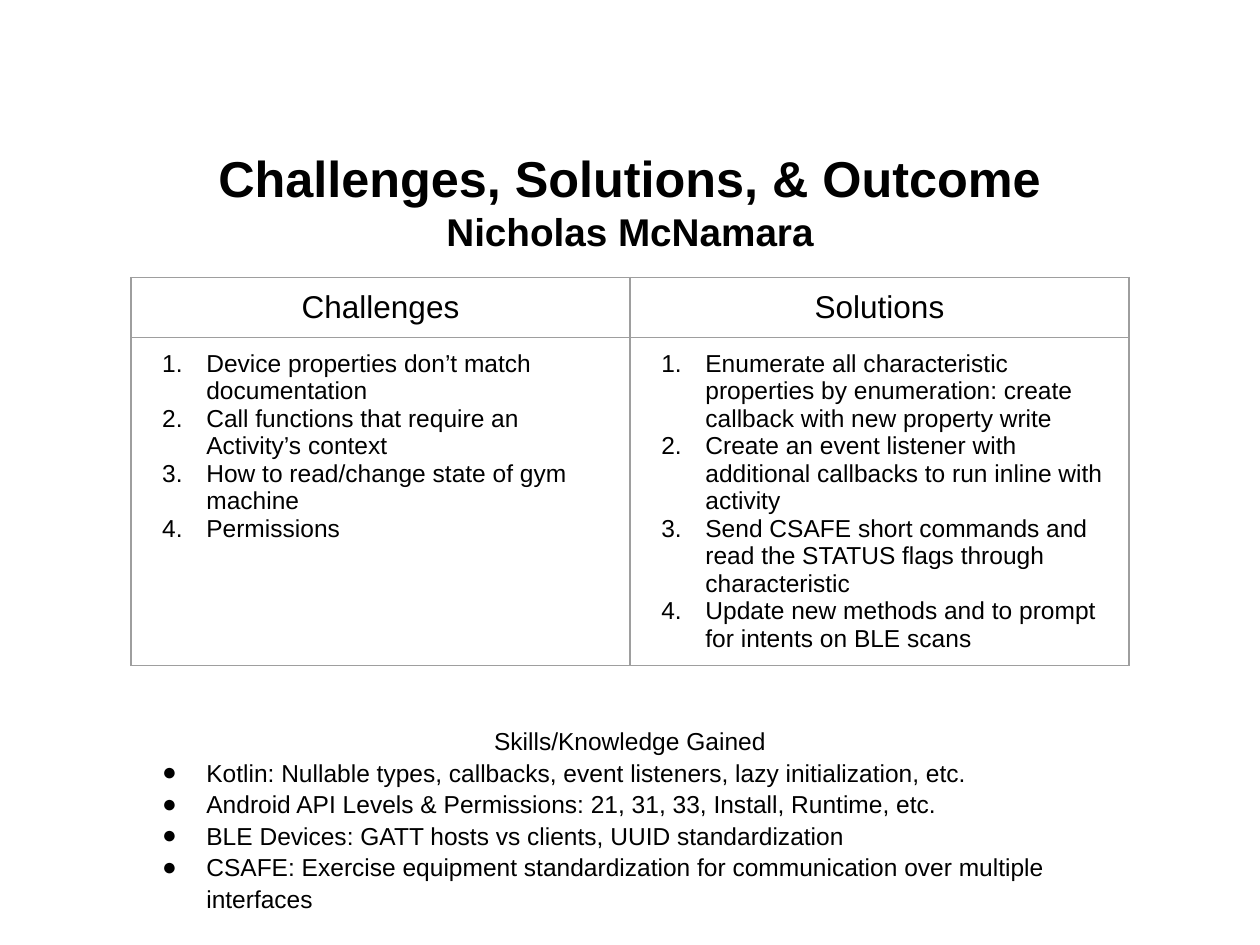
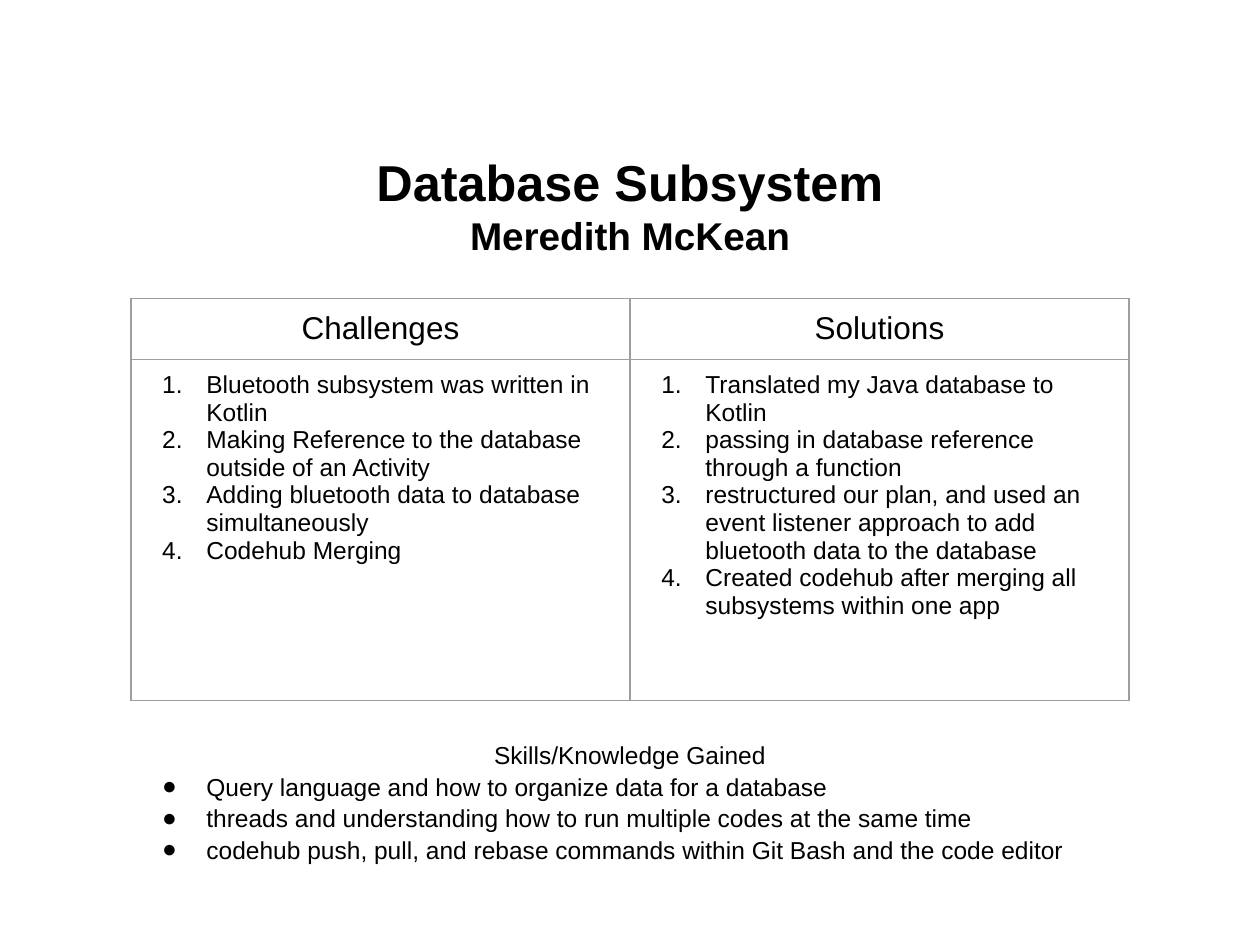
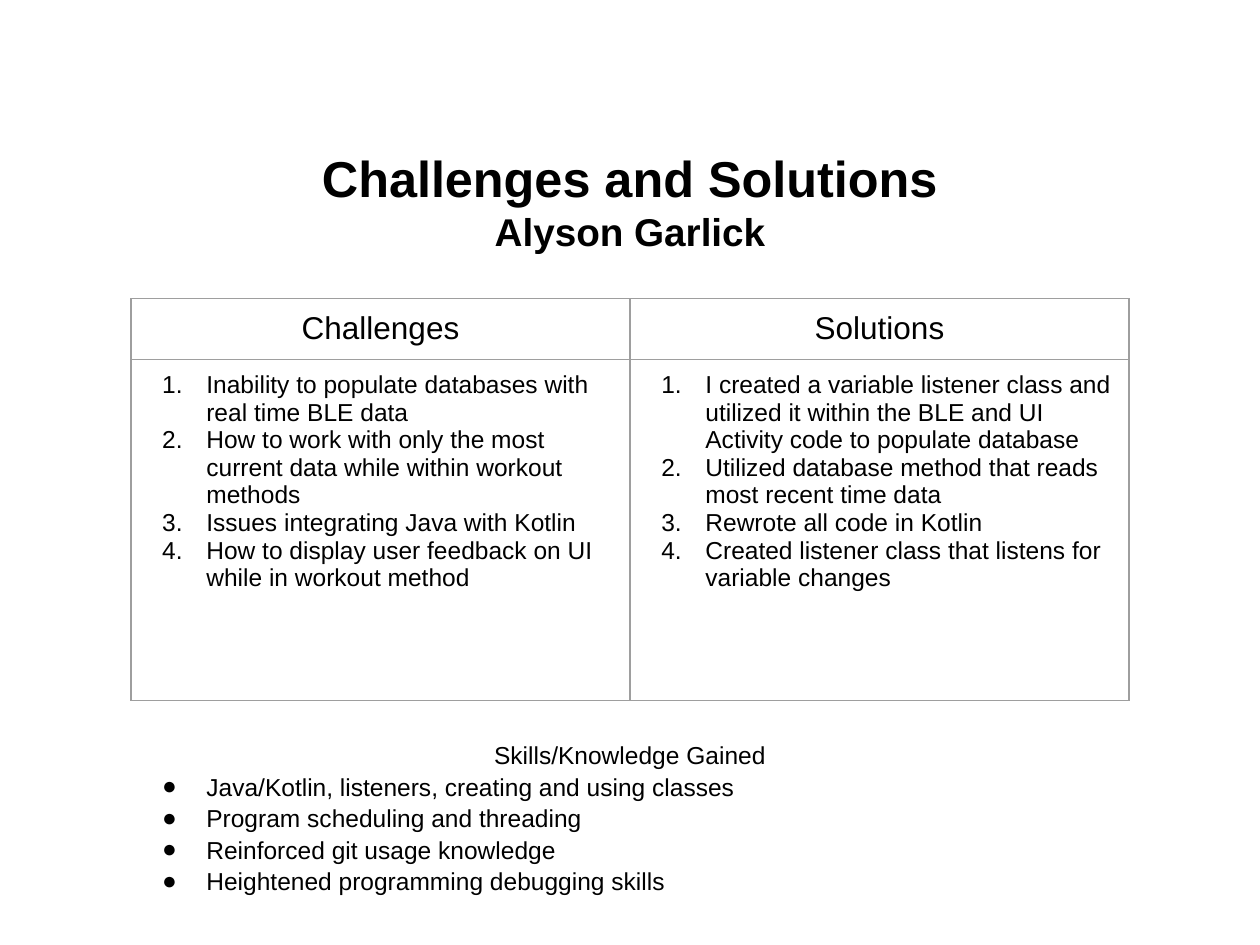
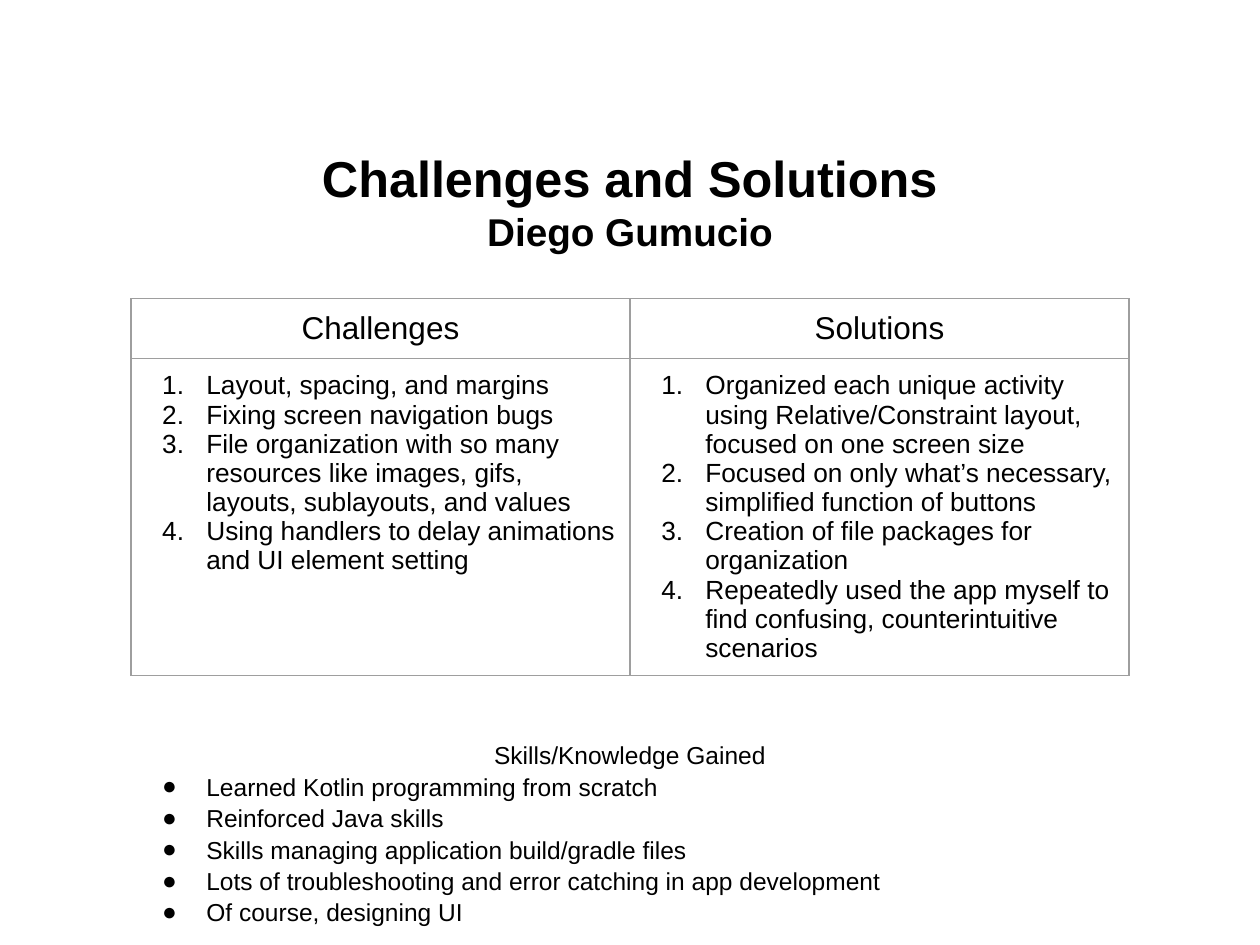
from dataclasses import dataclass

from lxml.etree import SubElement
from pptx import Presentation
from pptx.dml.color import RGBColor
from pptx.enum.text import MSO_ANCHOR, MSO_AUTO_SIZE, PP_ALIGN
from pptx.oxml.ns import qn
from pptx.util import Cm, Pt


@dataclass(frozen=True)
class Theme:
    font: str = "Arial"
    ink: str = "000000"
    border: str = "9E9E9E"
    border_width: float = 0.75
    title_size: float = 28.8
    name_size: float = 22.1
    header_size: float = 18
    text_size: float = 14
    skills_spacing: float = 1.07
    left: float = 2.64
    width: float = 20.12
    inset: float = 0.25
    list_margin: float = 1.27
    list_hang: float = 0.89


NUMBER = ("a:buAutoNum", {"type": "arabicPeriod"})
DOT = ("a:buChar", {"char": "●"})
NO_BULLET = ("a:buNone", {})


class Deck:
    """Holds the theme and the slide being built."""

    def __init__(self, theme):
        self.theme = theme
        self.deck = Presentation()
        self.deck.slide_width, self.deck.slide_height = Cm(25.4), Cm(19.05)
        self.page = None

    def new_page(self):
        self.page = self.deck.slides.add_slide(self.deck.slide_layouts[1])

    def place(self, box, left, top, width, height):
        box.left, box.top, box.width, box.height = (
            Cm(value) for value in (left, top, width, height))

    def add_text(self, frame, number, text, size, bullet=None, align=None, bold=False):
        """Fill paragraph `number` of a text frame."""
        para = frame.paragraphs[0] if number == 0 else frame.add_paragraph()
        para.space_before = Pt(0)
        if align is not None:
            para.alignment = align
        if bullet:
            self.set_bullet(para, bullet)
        span = para.add_run()
        span.text = text
        span.font.name = self.theme.font
        span.font.size = Pt(size)
        span.font.bold = bold
        span.font.color.rgb = RGBColor.from_string(self.theme.ink)

    def set_bullet(self, para, bullet):
        tag, attributes = bullet
        listed = bullet is not NO_BULLET
        properties = para._p.get_or_add_pPr()
        properties.set("marL", str(Cm(self.theme.list_margin) if listed else 0))
        properties.set("indent", str(-Cm(self.theme.list_hang) if listed else 0))
        if listed:
            color = SubElement(properties, qn("a:buClr"))
            SubElement(color, qn("a:srgbClr"), val=self.theme.ink)
            SubElement(properties, qn("a:buFont"), typeface=self.theme.font)
        SubElement(properties, qn(tag), attributes)

    def title(self, heading, name, heading_spacing=None):
        box = self.page.shapes.title
        self.place(box, 1.27, 2.92, 22.86, 2.24)
        frame = box.text_frame
        frame.auto_size = MSO_AUTO_SIZE.NONE
        frame.vertical_anchor = MSO_ANCHOR.MIDDLE
        lines = ((heading, self.theme.title_size), (name, self.theme.name_size))
        for number, (text, size) in enumerate(lines):
            self.add_text(frame, number, text, size, align=PP_ALIGN.CENTER, bold=True)
        if heading_spacing:
            frame.paragraphs[0].line_spacing = heading_spacing

    def border_cell(self, cell):
        properties = cell._tc.get_or_add_tcPr()
        for side in ("a:lnL", "a:lnR", "a:lnT", "a:lnB"):
            line = SubElement(properties, qn(side), w=str(Pt(self.theme.border_width)))
            fill = SubElement(line, qn("a:solidFill"))
            SubElement(fill, qn("a:srgbClr"), val=self.theme.border)

    def table(self, columns, top, row_heights, text_size):
        """Two rows: the column names, then one numbered list per column."""
        theme = self.theme
        table = self.page.shapes.add_table(
            2, len(columns), Cm(theme.left), Cm(top),
            Cm(theme.width), Cm(sum(row_heights))).table
        table.first_row = table.horz_banding = False
        for row, height in zip(table.rows, row_heights):
            row.height = Cm(height)
        for index, (name, items) in enumerate(columns.items()):
            table.columns[index].width = Cm(theme.width / len(columns))
            header, content = table.cell(0, index), table.cell(1, index)
            for cell in (header, content):
                self.border_cell(cell)
                cell.fill.background()
                cell.margin_left = cell.margin_right = Cm(theme.inset)
                cell.margin_top = cell.margin_bottom = Cm(theme.inset)
            self.add_text(header.text_frame, 0, name, theme.header_size,
                          align=PP_ALIGN.CENTER)
            for number, item in enumerate(items):
                self.add_text(content.text_frame, number, item, text_size, NUMBER)

    def skills(self, items, top, height):
        theme = self.theme
        box = self.page.placeholders[1]
        self.place(box, theme.left, top, theme.width, height)
        frame = box.text_frame
        frame.word_wrap = True
        frame.auto_size = MSO_AUTO_SIZE.NONE
        frame.vertical_anchor = MSO_ANCHOR.TOP
        frame.margin_left = frame.margin_right = Cm(theme.inset)
        frame.margin_top = frame.margin_bottom = Cm(theme.inset)
        self.add_text(frame, 0, "Skills/Knowledge Gained", theme.text_size,
                      NO_BULLET, PP_ALIGN.CENTER)
        for number, item in enumerate(items, 1):
            self.add_text(frame, number, item, theme.text_size, DOT, PP_ALIGN.LEFT)
        for para in frame.paragraphs:
            para.line_spacing = theme.skills_spacing


@dataclass
class Report:
    """What one team member presents, with lengths in centimetres."""
    heading: str
    name: str
    challenges: list
    solutions: list
    skills: list
    skills_height: float
    row_heights: tuple = (1.22, 6.88)
    table_top: float = 6.02
    skills_top: float = 14.63
    list_size: float = Theme.text_size
    heading_spacing: float = None


REPORTS = [
    Report(
        "Challenges, Solutions, & Outcome", "Nicholas McNamara",
        ["Device properties don’t match documentation",
         "Call functions that require an Activity’s context",
         "How to read/change state of gym machine",
         "Permissions"],
        ["Enumerate all characteristic properties by enumeration: "
         "create callback with new property write",
         "Create an event listener with additional callbacks to run inline with activity",
         "Send CSAFE short commands and read the STATUS flags through characteristic",
         "Update new methods and to prompt for intents on BLE scans"],
        ["Kotlin: Nullable types, callbacks, event listeners, lazy initialization, etc.",
         "Android API Levels & Permissions: 21, 31, 33, Install, Runtime, etc.",
         "BLE Devices: GATT hosts vs clients, UUID standardization",
         "CSAFE: Exercise equipment standardization for communication "
         "over multiple interfaces"],
        skills_height=3.89, row_heights=(1.19, 6.43), table_top=5.59, skills_top=14.35),
    Report(
        "Database Subsystem", "Meredith McKean",
        ["Bluetooth subsystem was written in Kotlin",
         "Making Reference to the database outside of an Activity",
         "Adding bluetooth data to database simultaneously",
         "Codehub Merging"],
        ["Translated my Java database to Kotlin",
         "passing in database reference through a function",
         "restructured our plan, and used an event listener approach "
         "to add bluetooth data to the database",
         "Created codehub after merging all subsystems within one app"],
        ["Query language and how to organize data for a database",
         "threads and understanding how to run multiple codes at the same time",
         "codehub push, pull, and rebase commands within Git Bash and the code editor"],
        skills_height=2.9, heading_spacing=1.15),
    Report(
        "Challenges and Solutions", "Alyson Garlick",
        ["Inability to populate databases with real time BLE data",
         "How to work with only the most current data while within workout methods",
         "Issues integrating Java with Kotlin",
         "How to display user feedback on UI while in workout method"],
        ["I created a variable listener class and utilized it within the BLE "
         "and UI Activity code to populate database",
         "Utilized database method that reads most recent time data",
         "Rewrote all code in Kotlin",
         "Created listener class that listens for variable changes"],
        ["Java/Kotlin, listeners, creating and using classes",
         "Program scheduling and threading",
         "Reinforced git usage knowledge",
         "Heightened programming debugging skills"],
        skills_height=3.51),
    Report(
        "Challenges and Solutions", "Diego Gumucio",
        ["Layout, spacing, and margins",
         "Fixing screen navigation bugs",
         "File organization with so many resources like images, gifs, "
         "layouts, sublayouts, and values",
         "Using handlers to delay animations and UI element setting"],
        ["Organized each unique activity using Relative/Constraint layout, "
         "focused on one screen size",
         "Focused on only what’s necessary, simplified function of buttons",
         "Creation of file packages for organization",
         "Repeatedly used the app myself to find confusing, counterintuitive scenarios"],
        ["Learned Kotlin programming from scratch",
         "Reinforced Java skills",
         "Skills managing application build/gradle files",
         "Lots of troubleshooting and error catching in app development",
         "Of course, designing UI"],
        skills_height=4.11, row_heights=(1.04, 5.61), list_size=15),
]


def main():
    builder = Deck(Theme())
    for report in REPORTS:
        builder.new_page()
        builder.title(report.heading, report.name, report.heading_spacing)
        builder.table({"Challenges": report.challenges, "Solutions": report.solutions},
                      report.table_top, report.row_heights, report.list_size)
        builder.skills(report.skills, report.skills_top, report.skills_height)
    builder.deck.save("out.pptx")


if __name__ == "__main__":
    main()
